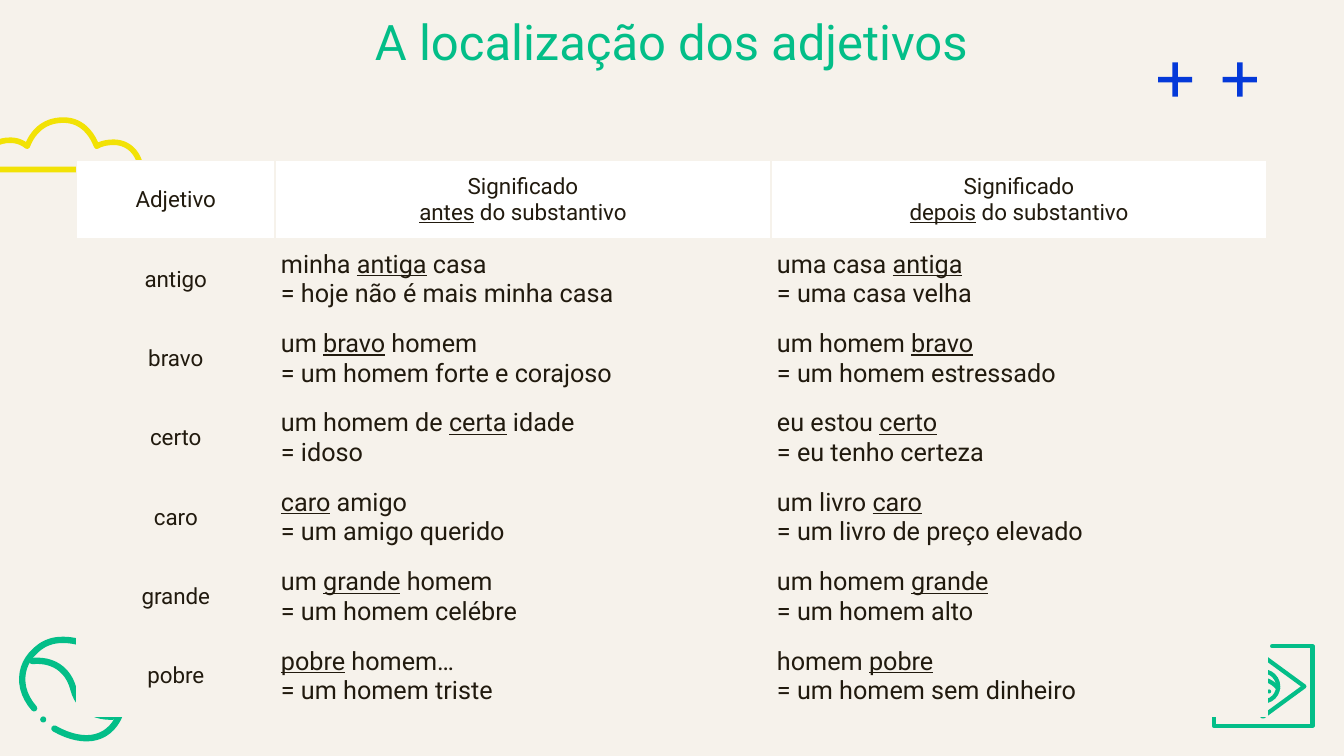
from dataclasses import dataclass

from lxml import etree
from pptx import Presentation
from pptx.dml.color import RGBColor
from pptx.enum.shapes import MSO_SHAPE
from pptx.enum.text import MSO_ANCHOR, MSO_AUTO_SIZE, PP_ALIGN
from pptx.oxml.ns import qn
from pptx.util import Cm, Pt

TOP, MIDDLE = MSO_ANCHOR.TOP, MSO_ANCHOR.MIDDLE
LEFT, CENTER = PP_ALIGN.LEFT, PP_ALIGN.CENTER
NO_AUTOFIT = MSO_AUTO_SIZE.NONE
PLUS, OVAL = MSO_SHAPE.MATH_PLUS, MSO_SHAPE.OVAL
TITLE_ONLY = 5
UNIT = Cm(0.0254)  # grid step of the line drawings


@dataclass(frozen=True)
class Theme:
    font: str = "Roboto"
    paper: str = "F6F2EB"
    white: str = "FFFFFF"
    ink: str = "211A0E"
    green: str = "03BE88"
    yellow: str = "F2E205"
    blue: str = "0439D9"
    title_size: int = 35
    label_size: int = 16
    body_size: int = 18


THEME = Theme()


@dataclass(frozen=True)
class Box:
    left: int
    top: int
    width: int = 0
    height: int = 0


TITLE = "A localização dos adjetivos"
# Underscores enclose the underlined word.
HEADER = ("Adjetivo", "Significado\v_antes_ do substantivo",
          "Significado\v_depois_ do substantivo")
ROWS = (
    ("antigo", "minha _antiga_ casa\n= hoje não é mais minha casa",
     "uma casa _antiga_\n= uma casa velha"),
    ("bravo", "um _bravo_ homem\n= um homem forte e corajoso",
     "um homem _bravo_\n= um homem estressado"),
    ("certo", "um homem de _certa_ idade\n= idoso",
     "eu estou _certo_\n= eu tenho certeza"),
    ("caro", "_caro_ amigo\n= um amigo querido",
     "um livro _caro_\n= um livro de preço elevado"),
    ("grande", "um _grande_ homem\n= um homem celébre",
     "um homem _grande_\n= um homem alto"),
    ("pobre", "_pobre_ homem…\n= um homem triste",
     "homem _pobre_\n= um homem sem dinheiro"),
)
COLUMN_WIDTHS = (Cm(5), Cm(12.5), Cm(12.5))

# Bezier chains: a start point, then two handles and an end point per piece.
CLOUD = ((3, 52), (3, 34), (16, 23), (32, 23), (37, 23), (43, 24), (49, 29),
         (56, 11), (69, 3), (85, 3), (99, 3), (111, 11), (118, 29),
         (123, 26), (129, 25), (135, 25), (148, 25), (160, 34), (162, 52))
LEAVES = (
    ((81, 93), (58, 75), (62, 43), (83, 21), (96, 8), (111, 3), (124, 3),
     (135, 3), (144, 6), (152, 14), (168, 31), (164, 61), (144, 81),
     (132, 93), (120, 98), (103, 100), (93, 100), (87, 97), (81, 93)),
    ((140, 9), (145, 29), (132, 46), (113, 51), (94, 56), (83, 74), (87, 94)),
    ((17, 128), (0, 109), (2, 85), (18, 71), (25, 64), (34, 60), (45, 60),
     (52, 60), (58, 61), (64, 63)),
    ((15, 81), (35, 79), (51, 89), (56, 109), (61, 128), (77, 138), (98, 136)),
    ((101, 103), (107, 119), (105, 135), (94, 147),
     (81, 161), (60, 161), (37, 148)),
)
EYELID = ((42, 34), (52, 33), (61, 37), (67, 44))
FRAME = ((61, 2), (101, 2), (101, 81), (3, 81), (3, 2), (43, 2))
DIAMOND = ((52, 12), (93, 42), (52, 72), (12, 42), (52, 12))
FRAME_DOTS = ((46, 42), (50, 48), (58, 47), (52, 2))


def color(code):
    return RGBColor.from_string(code)


def write(para, text, size, tint):
    """Fill a paragraph, underlining what stands between underscores."""
    for index, part in enumerate(text.split("_")):
        for piece_index, piece in enumerate(part.split("\v")):
            if piece_index:
                para.add_line_break()
            if piece:
                run = para.add_run()
                run.text = piece
                formats = {"name": THEME.font, "size": Pt(size),
                           "bold": False, "underline": index % 2 == 1}
                for name, value in formats.items():
                    setattr(run.font, name, value)
                run.font.color.rgb = color(tint)


def add_title(page, box):
    title = page.shapes.title
    for name in ("left", "top", "width", "height"):
        setattr(title, name, getattr(box, name))
    frame = title.text_frame
    formats = {"auto_size": NO_AUTOFIT, "vertical_anchor": TOP, "word_wrap": True}
    for side in ("left", "right", "top", "bottom"):
        formats["margin_" + side] = Cm(0.25)
    for name, value in formats.items():
        setattr(frame, name, value)
    para = frame.paragraphs[0]
    para.alignment, para.line_spacing = CENTER, 0.9
    write(para, TITLE, THEME.title_size, THEME.green)


def bezier(chain, steps=12):
    points = [chain[0]]
    for start in range(0, len(chain) - 1, 3):
        corners = chain[start:start + 4]
        for step in range(1, steps + 1):
            t = step / steps
            weights = ((1 - t) ** 3, 3 * t * (1 - t) ** 2, 3 * t * t * (1 - t), t ** 3)
            points.append(tuple(sum(w * corner[axis] for w, corner in zip(weights, corners))
                                for axis in (0, 1)))
    return points


def set_outline(shape, tint, width):
    shape.shadow.inherit = False
    shape.fill.background()
    shape.line.color.rgb = color(tint)
    shape.line.width = Pt(width)
    shape.line._get_or_add_ln().set("cap", "rnd")


def add_stroke(page, box, points, tint, width, close=False):
    scaled = [(x * UNIT, y * UNIT) for x, y in points]
    builder = page.shapes.build_freeform(*scaled[0], scale=1.0)
    builder.add_line_segments(scaled[1:], close=close)
    set_outline(builder.convert_to_shape(box.left, box.top), tint, width)


def add_circle(page, box, center, radius):
    x, y = center
    return page.shapes.add_shape(
        OVAL, round(box.left + (x - radius) * UNIT), round(box.top + (y - radius) * UNIT),
        round(2 * radius * UNIT), round(2 * radius * UNIT))


def set_solid(shape, tint):
    shape.shadow.inherit = False
    shape.fill.solid()
    shape.fill.fore_color.rgb = color(tint)
    shape.line.fill.background()


def add_pluses(page, box):
    for index in range(2):
        left = box.left + index * (box.width - box.height)
        plus = page.shapes.add_shape(PLUS, left, box.top, box.height, box.height)
        plus.adjustments[0] = 0.118
        set_solid(plus, THEME.blue)


def add_cloud(page, box):
    add_stroke(page, box, bezier(CLOUD), THEME.yellow, 4, close=True)


def add_eye_frame(page, box):
    for points in (FRAME, DIAMOND, bezier(EYELID)):
        add_stroke(page, box, points, THEME.green, 3)
    set_outline(add_circle(page, box, (52, 42), 15), THEME.green, 3)
    for center in FRAME_DOTS:
        set_solid(add_circle(page, box, center, 2), THEME.green)


def add_leaves(page, box):
    for chain in LEAVES:
        add_stroke(page, box, bezier(chain), THEME.green, 4.5)
    set_solid(add_circle(page, box, (26, 139), 3), THEME.green)


def set_borders(cell, bottom):
    properties = cell._tc.get_or_add_tcPr()
    for side, width in (("L", 1), ("R", 1), ("T", 1), ("B", bottom)):
        line = etree.SubElement(properties, qn("a:ln" + side), w=str(Pt(width)))
        fill = etree.SubElement(line, qn("a:solidFill"))
        etree.SubElement(fill, qn("a:srgbClr"), val=THEME.paper)


def fill_cell(cell, text, size, align, fill, bottom):
    formats = {"vertical_anchor": MIDDLE, "margin_left": Cm(0.15), "margin_right": Cm(0.15),
               "margin_top": Cm(0.06), "margin_bottom": Cm(0.06)}
    for name, value in formats.items():
        setattr(cell, name, value)
    set_borders(cell, bottom)
    cell.fill.solid()
    cell.fill.fore_color.rgb = color(fill)
    for index, line in enumerate(text.split("\n")):
        frame = cell.text_frame
        para = frame.add_paragraph() if index else frame.paragraphs[0]
        para.alignment = align
        write(para, line, size, THEME.ink)


def add_adjective_table(page, box):
    rows = (HEADER, *ROWS)
    table = page.shapes.add_table(len(rows), len(HEADER), box.left, box.top,
                                  box.width, box.height).table
    table.first_row = table.horz_banding = False
    for column, width in zip(table.columns, COLUMN_WIDTHS):
        column.width = width
    for row_index, texts in enumerate(rows):
        header = row_index == 0
        for column_index, text in enumerate(texts):
            label = header or column_index == 0
            fill_cell(table.cell(row_index, column_index), text,
                      THEME.label_size if label else THEME.body_size,
                      CENTER if label else LEFT,
                      THEME.white if header else THEME.paper, 3 if header else 1)


def main():
    deck = Presentation()
    deck.slide_width, deck.slide_height = Cm(33.87), Cm(19.05)
    page = deck.slides.add_slide(deck.slide_layouts[TITLE_ONLY])
    page.background.fill.solid()
    page.background.fill.fore_color.rgb = color(THEME.paper)
    add_title(page, Box(Cm(2.64), Cm(0.2), Cm(28.58), Cm(2.31)))
    add_pluses(page, Box(Cm(29.03), Cm(1.42), Cm(2.8), Cm(1.17)))
    add_cloud(page, Box(Cm(-0.56), Cm(2.95)))
    add_eye_frame(page, Box(Cm(30.51), Cm(16.23)))
    add_leaves(page, Box(Cm(0.43), Cm(14.6)))
    add_adjective_table(page, Box(Cm(1.93), Cm(4.04), Cm(30), Cm(14)))
    deck.save("out.pptx")


if __name__ == "__main__":
    main()
